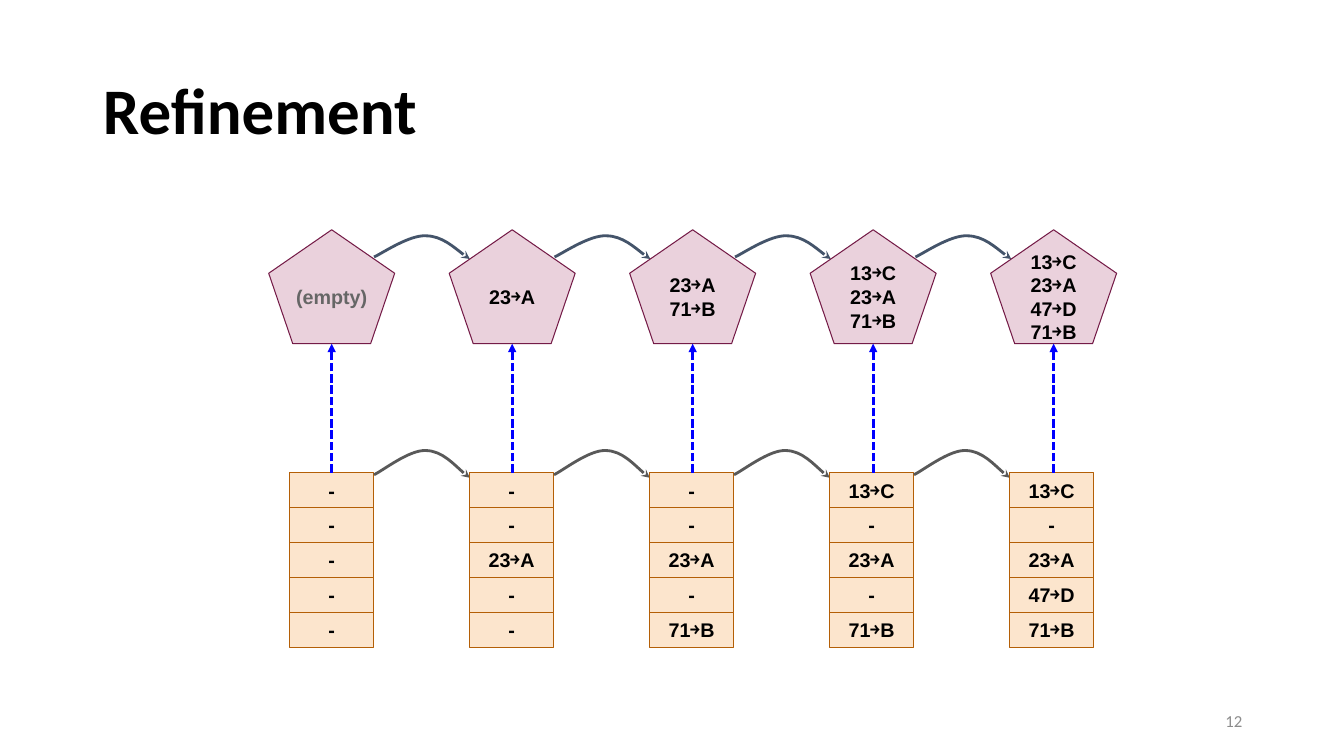
from lxml import etree
from pptx import Presentation
from pptx import util as u
from pptx.dml.color import RGBColor
from pptx.enum import dml, shapes, text
from pptx.oxml import ns

TITLE = "Refinement"
PAGE_NUMBER = "12"
EMPTY = "(empty)"
ABSTRACT_STATES = [
    [EMPTY],
    ["23￫A"],
    ["23￫A", "71￫B"],
    ["13￫C", "23￫A", "71￫B"],
    ["13￫C", "23￫A", "47￫D", "71￫B"],
]
CONCRETE_STATES = [
    ["-", "-", "-", "-", "-"],
    ["-", "-", "23￫A", "-", "-"],
    ["-", "-", "23￫A", "-", "71￫B"],
    ["13￫C", "-", "23￫A", "-", "71￫B"],
    ["13￫C", "-", "23￫A", "47￫D", "71￫B"],
]
COLORS = {
    "text": "000000", "muted": "666666", "number": "8C8C8C",
    "pentagon": "EAD1DC", "pentagon_line": "741B47",
    "cell": "FCE5CD", "cell_line": "B45F06",
    "abstract_step": "44546A", "concrete_step": "595959", "mapping": "0000FF",
}

WIDTH, HEIGHT = 13.33, 7.5
FIRST_CENTER = 3.29
GAPS = len(ABSTRACT_STATES) - 1
ABSTRACT_PITCH = (10.45 - FIRST_CENTER) / GAPS
CONCRETE_PITCH = (10.43 - FIRST_CENTER) / GAPS
PENTAGON_WIDTH, PENTAGON_HEIGHT, PENTAGON_TOP = 1.25, 1.13, 2.28
CELLS_TOP, CELLS_BOTTOM = 4.69, 6.42
CELL_WIDTH = 0.83
CELL_HEIGHT = (CELLS_BOTTOM - CELLS_TOP) / len(CONCRETE_STATES[0])
STEP_OFFSET, STEP_WIDTH = 0.42, 0.95
STEP_SHARES = (0, 0.09, 0.37, 0.54, 0.71, 0.93, 1)
ABSTRACT_STEP_Y = (2.55, 2.51, 2.33, 2.34, 2.34, 2.53, 2.57)
CONCRETE_STEP_Y = (4.71, 4.67, 4.46, 4.47, 4.47, 4.7, 4.74)


def color(name):
    return RGBColor.from_string(COLORS[name])


def write(frame, lines, size, font, color_name, alignment, bold=True):
    frame.word_wrap = True
    frame.vertical_anchor = text.MSO_ANCHOR.MIDDLE
    for index, line in enumerate(lines):
        paragraph = frame.paragraphs[0] if index == 0 else frame.add_paragraph()
        paragraph.text = line
        paragraph.alignment = alignment
        paragraph.font.size = u.Pt(size)
        paragraph.font.name = font
        paragraph.font.bold = bold
        paragraph.font.color.rgb = color(color_name)


def add_box(group, kind, box, fill, lines, insets):
    shape = group.shapes.add_shape(kind, *map(u.Inches, box))
    shape.shadow.inherit = False
    shape.fill.solid()
    shape.fill.fore_color.rgb = color(fill)
    shape.line.color.rgb = color(fill + "_line")
    shape.line.width = u.Pt(0.75)
    frame = shape.text_frame
    frame.margin_left, frame.margin_top, frame.margin_right, frame.margin_bottom = map(u.Inches, insets)
    font_color = "muted" if lines == [EMPTY] else "text"
    write(frame, lines, 14.1, "Arial", font_color, text.PP_ALIGN.CENTER)


def style_arrow(arrow, color_name, head):
    arrow.line.color.rgb = color(color_name)
    arrow.line.width = u.Pt(2)
    properties = arrow._element.spPr.find(ns.qn("a:ln"))
    etree.SubElement(properties, ns.qn("a:tailEnd"), type=head)


def add_step(group, left, heights, color_name):
    points = [(u.Inches(left + STEP_WIDTH * share), u.Inches(y))
              for share, y in zip(STEP_SHARES, heights)]
    builder = group.shapes.build_freeform(*points[0])
    builder.add_line_segments(points[1:], close=False)
    step = builder.convert_to_shape()
    segments = list(step._element.iter(ns.qn("a:lnTo")))
    outline = segments[0].getparent()
    for start in range(0, len(segments), 3):
        curve = etree.SubElement(outline, ns.qn("a:cubicBezTo"))
        for segment in segments[start:start + 3]:
            curve.append(segment[0])
            outline.remove(segment)
    step.shadow.inherit = False
    step.fill.background()
    style_arrow(step, color_name, "stealth")


def add_mapping(group, center):
    ends = (center, CELLS_TOP, center, PENTAGON_TOP + PENTAGON_HEIGHT)
    arrow = group.shapes.add_connector(shapes.MSO_CONNECTOR.STRAIGHT, *map(u.Inches, ends))
    arrow.line.dash_style = dml.MSO_LINE.SQUARE_DOT
    style_arrow(arrow, "mapping", "triangle")
    etree.SubElement(arrow._element.spPr, ns.qn("a:effectLst"))


def main():
    presentation = Presentation()
    presentation.slide_width, presentation.slide_height = u.Inches(WIDTH), u.Inches(HEIGHT)
    slide = presentation.slides.add_slide(presentation.slide_layouts[5])

    title = slide.shapes.title
    title.left, title.top, title.width, title.height = map(u.Inches, (0.92, 0.4, 11.5, 1.45))
    write(title.text_frame, [TITLE], 46.4, "Calibri", "text", text.PP_ALIGN.LEFT)
    title.text_frame.paragraphs[0].line_spacing = 0.9
    number = slide.shapes.add_textbox(*map(u.Inches, (9.42, 6.95, 3, 0.4)))
    write(number.text_frame, [PAGE_NUMBER], 12, "Calibri", "number", text.PP_ALIGN.RIGHT, False)

    abstract, concrete, mappings = [slide.shapes.add_group_shape() for _ in range(3)]
    for index, (entries, cells) in enumerate(zip(ABSTRACT_STATES, CONCRETE_STATES)):
        abstract_center = FIRST_CENTER + index * ABSTRACT_PITCH
        concrete_center = FIRST_CENTER + index * CONCRETE_PITCH
        side = 0 if entries == [EMPTY] else 0.07
        box = (abstract_center - PENTAGON_WIDTH / 2, PENTAGON_TOP, PENTAGON_WIDTH, PENTAGON_HEIGHT)
        add_box(abstract, shapes.MSO_SHAPE.REGULAR_PENTAGON, box, "pentagon", entries,
                (side, 0.07, side, 0.14))
        for row, cell in enumerate(cells):
            box = (concrete_center - CELL_WIDTH / 2, CELLS_TOP + row * CELL_HEIGHT,
                   CELL_WIDTH, CELL_HEIGHT)
            add_box(concrete, shapes.MSO_SHAPE.RECTANGLE, box, "cell", [cell], (0, 0, 0, 0))
        if index < GAPS:
            add_step(abstract, abstract_center + STEP_OFFSET, ABSTRACT_STEP_Y, "abstract_step")
            add_step(concrete, concrete_center + STEP_OFFSET, CONCRETE_STEP_Y, "concrete_step")
        add_mapping(mappings, abstract_center)

    presentation.save("out.pptx")


if __name__ == "__main__":
    main()
